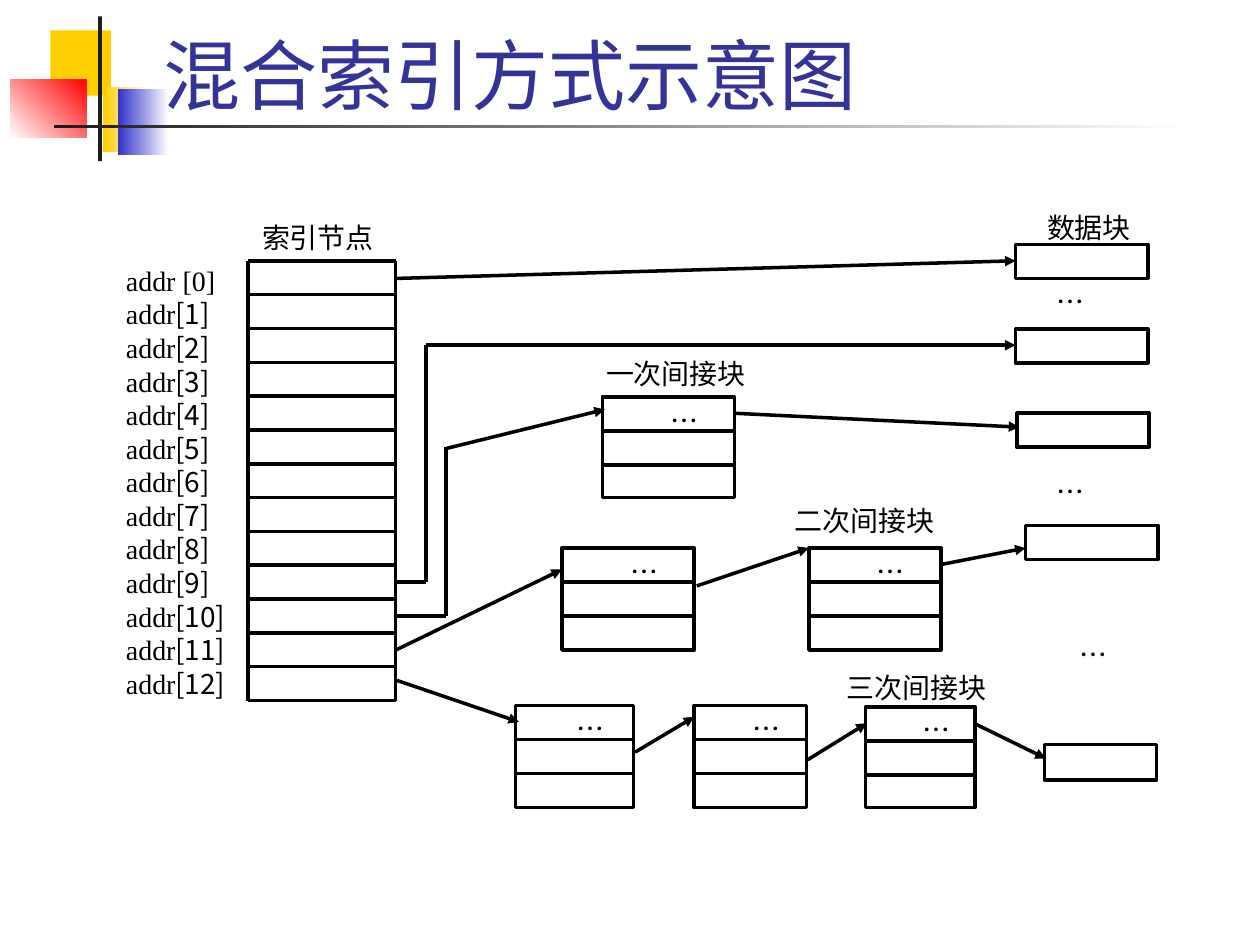
from typing import NamedTuple, Optional

from lxml import etree
from pptx import Presentation
from pptx import util as u
from pptx.dml.color import RGBColor
from pptx.enum import shapes, text
from pptx.oxml.ns import qn
from pptx.util import Inches

BLACK = RGBColor(0x00, 0x00, 0x00)
WHITE = RGBColor(0xFF, 0xFF, 0xFF)
YELLOW = RGBColor(0xFF, 0xCF, 0x01)
BLUE = RGBColor(0x33, 0x33, 0xCC)
RED = RGBColor(0xFF, 0x00, 0x00)
CHARCOAL = RGBColor(0x1C, 0x1C, 0x1C)
TITLE_BLUE = RGBColor(0x33, 0x33, 0x99)

TITLE_FONT = "Lato"
SERIF = "Times New Roman"
SANS = "Noto Sans CJK SC"
BODY_SIZE = 16
LINE_WIDTH = u.Pt(2)

NODE_LEFT, NODE_RIGHT = 1.97, 3.14
NODE_TOP, NODE_BOTTOM = 2.07, 5.56
ADDRESS_COUNT = 13
BLOCK_ROW = 0.27


class Box(NamedTuple):
    left: float
    top: float
    width: float
    height: float


class Decoration(NamedTuple):
    box: Box
    start: RGBColor
    end: Optional[RGBColor] = None
    angle: float = 180


class Label(NamedTuple):
    words: str
    box: Box
    font: str = SANS
    inset: tuple[float, float] = (0, 0)


class Line(NamedTuple):
    x1: float
    y1: float
    x2: float
    y2: float


DECORATIONS = [
    Decoration(Box(0.4, 0.24, 0.48, 0.52), YELLOW),
    Decoration(Box(0.82, 0.69, 0.36, 0.52), WHITE, YELLOW),
    Decoration(Box(0.94, 0.71, 0.4, 0.52), WHITE, BLUE),
    Decoration(Box(0.08, 0.63, 0.61, 0.46), RED, WHITE, 225),
    Decoration(Box(0.78, 0.13, 0.03, 1.15), CHARCOAL),
    Decoration(Box(0.43, 0.99, 9, 0.03), WHITE, CHARCOAL),
]

DATA_BLOCKS = [
    Box(8.06, 1.94, 1.05, 0.27),
    Box(8.06, 2.61, 1.05, 0.27),
    Box(8.07, 3.28, 1.05, 0.27),
    Box(8.14, 4.17, 1.05, 0.27),
    Box(8.29, 5.91, 0.89, 0.28),
]

INDIRECT_BLOCKS = [
    Box(4.78, 3.15, 1.05, 0.8),
    Box(4.46, 4.35, 1.05, 0.81),
    Box(6.42, 4.35, 1.05, 0.81),
    Box(4.09, 5.6, 0.94, 0.81),
    Box(5.51, 5.6, 0.89, 0.81),
    Box(6.87, 5.61, 0.87, 0.8),
]

LABELS = [
    Label("索引节点", Box(2.08, 1.75, 0.97, 0.31)),
    Label("数据块", Box(8.31, 1.67, 0.69, 0.26)),
    Label("一次间接块", Box(4.81, 2.83, 1.19, 0.29), SERIF),
    Label("二次间接块", Box(6.31, 4, 1.2, 0.26), SERIF),
    Label("三次间接块", Box(6.72, 5.32, 1.19, 0.27), SERIF),
    Label("…", Box(8.29, 2.21, 0.59, 0.27), inset=(0.1, 0.05)),
    Label("…", Box(8.29, 3.72, 0.7, 0.27), inset=(0.1, 0.05)),
    Label("…", Box(8.47, 5.01, 0.7, 0.4), inset=(0.1, 0.05)),
]

ELBOWS = [
    Line(NODE_RIGHT, 4.62, 3.38, 4.62),
    Line(3.38, 4.62, 3.38, 2.74),
    Line(NODE_RIGHT, 4.89, 3.54, 4.89),
    Line(3.54, 4.89, 3.54, 3.55),
]

POINTERS = [
    Line(NODE_RIGHT, 2.21, 8.06, 2.07),
    Line(3.38, 2.74, 8.06, 2.74),
    Line(3.54, 3.56, 4.8, 3.25),
    Line(5.83, 3.28, 8.09, 3.39),
    Line(NODE_RIGHT, 5.16, 4.46, 4.52),
    Line(5.53, 4.65, 6.42, 4.35),
    Line(7.47, 4.48, 8.14, 4.35),
    Line(3.15, 5.4, 4.12, 5.73),
    Line(5.04, 5.97, 5.51, 5.69),
    Line(6.41, 6.03, 6.88, 5.74),
    Line(7.75, 5.75, 8.3, 6.02),
]


def add_run(paragraph, words: str, font: str, size: float = BODY_SIZE,
            color: RGBColor = BLACK) -> None:
    run = paragraph.add_run()
    run.text = words
    run.font.name = font
    run.font.size = u.Pt(size)
    run.font.color.rgb = color
    east_asian = etree.SubElement(run.font._element, qn("a:ea"))
    east_asian.set("typeface", SANS)


def set_frame(frame, side: float, edge: float) -> None:
    """Wrap the text and set its side and top/bottom insets."""
    frame.word_wrap = True
    frame.margin_left = frame.margin_right = Inches(side)
    frame.margin_top = frame.margin_bottom = Inches(edge)


def add_text_frame(slide, box: Box, side: float = 0, edge: float = 0):
    frame = slide.shapes.add_textbox(*map(Inches, box)).text_frame
    set_frame(frame, side, edge)
    return frame


def add_rectangle(slide, box: Box):
    rectangle = slide.shapes.add_shape(
        shapes.MSO_SHAPE.RECTANGLE, *map(Inches, box))
    rectangle.shadow.inherit = False
    return rectangle


def add_decoration(slide, decoration: Decoration) -> None:
    rectangle = add_rectangle(slide, decoration.box)
    rectangle.line.fill.background()
    fill = rectangle.fill
    if decoration.end is None:
        fill.solid()
        fill.fore_color.rgb = decoration.start
        return
    fill.gradient()
    fill.gradient_angle = decoration.angle
    for stop, color in zip(fill.gradient_stops, decoration[1:3]):
        stop.color.rgb = color


def add_line(slide, line: Line, arrow: bool = False) -> None:
    connector = slide.shapes.add_connector(
        shapes.MSO_CONNECTOR.STRAIGHT, *map(Inches, line))
    connector.line.color.rgb = BLACK
    connector.line.width = LINE_WIDTH
    if arrow:
        head = etree.SubElement(connector.line._get_or_add_ln(), qn("a:tailEnd"))
        head.set("type", "triangle")
    etree.SubElement(connector._element.spPr, qn("a:effectLst"))


def add_block(slide, box: Box):
    block = add_rectangle(slide, box)
    block.fill.solid()
    block.fill.fore_color.rgb = WHITE
    block.line.color.rgb = BLACK
    block.line.width = LINE_WIDTH
    return block


def add_indirect_block(slide, box: Box) -> None:
    """Draw a three-row block with an ellipsis right of centre in its first row."""
    frame = add_block(slide, box).text_frame
    set_frame(frame, 0.1, 0.05)
    frame.margin_left = Inches(0.35)
    frame.vertical_anchor = text.MSO_ANCHOR.TOP
    frame.paragraphs[0].alignment = text.PP_ALIGN.CENTER
    add_run(frame.paragraphs[0], "…", SANS)
    for row in (1, 2):
        y = box.top + row * BLOCK_ROW
        add_line(slide, Line(box.left, y, box.left + box.width, y))


def add_label(slide, label: Label) -> None:
    paragraph = add_text_frame(slide, label.box, *label.inset).paragraphs[0]
    paragraph.alignment = text.PP_ALIGN.JUSTIFY
    add_run(paragraph, label.words, label.font)


def add_index_node(slide) -> None:
    for x in (NODE_LEFT, NODE_RIGHT):
        add_line(slide, Line(x, NODE_TOP, x, NODE_BOTTOM))
    pitch = (NODE_BOTTOM - NODE_TOP) / ADDRESS_COUNT
    for row in range(ADDRESS_COUNT + 1):
        y = NODE_TOP + row * pitch
        add_line(slide, Line(NODE_LEFT, y, NODE_RIGHT, y))


def add_addresses(slide) -> None:
    frame = add_text_frame(slide, Box(1, 2.09, 0.87, 3.54))
    for index in range(ADDRESS_COUNT):
        paragraph = frame.add_paragraph() if index else frame.paragraphs[0]
        paragraph.alignment = text.PP_ALIGN.JUSTIFY
        paragraph.line_spacing = u.Pt(19.2)
        if index == 0:
            add_run(paragraph, "addr [0]", SERIF)
        else:
            add_run(paragraph, "addr", SERIF)
            add_run(paragraph, f"[{index}]", SANS)


def main() -> None:
    deck = Presentation()
    deck.slide_width, deck.slide_height = Inches(10), Inches(7.5)
    slide = deck.slides.add_slide(deck.slide_layouts[6])

    for decoration in DECORATIONS:
        add_decoration(slide, decoration)
    title = add_text_frame(slide, Box(1.2, 0.17, 8.52, 0.83), 0.1, 0.05)
    title.vertical_anchor = text.MSO_ANCHOR.BOTTOM
    add_run(title.paragraphs[0], "混合索引方式示意图", TITLE_FONT, 44, TITLE_BLUE)

    add_addresses(slide)
    add_index_node(slide)
    for box in DATA_BLOCKS:
        add_block(slide, box)
    for box in INDIRECT_BLOCKS:
        add_indirect_block(slide, box)
    for label in LABELS:
        add_label(slide, label)
    for elbow in ELBOWS:
        add_line(slide, elbow)
    for pointer in POINTERS:
        add_line(slide, pointer, arrow=True)
    deck.save("out.pptx")


if __name__ == "__main__":
    main()
